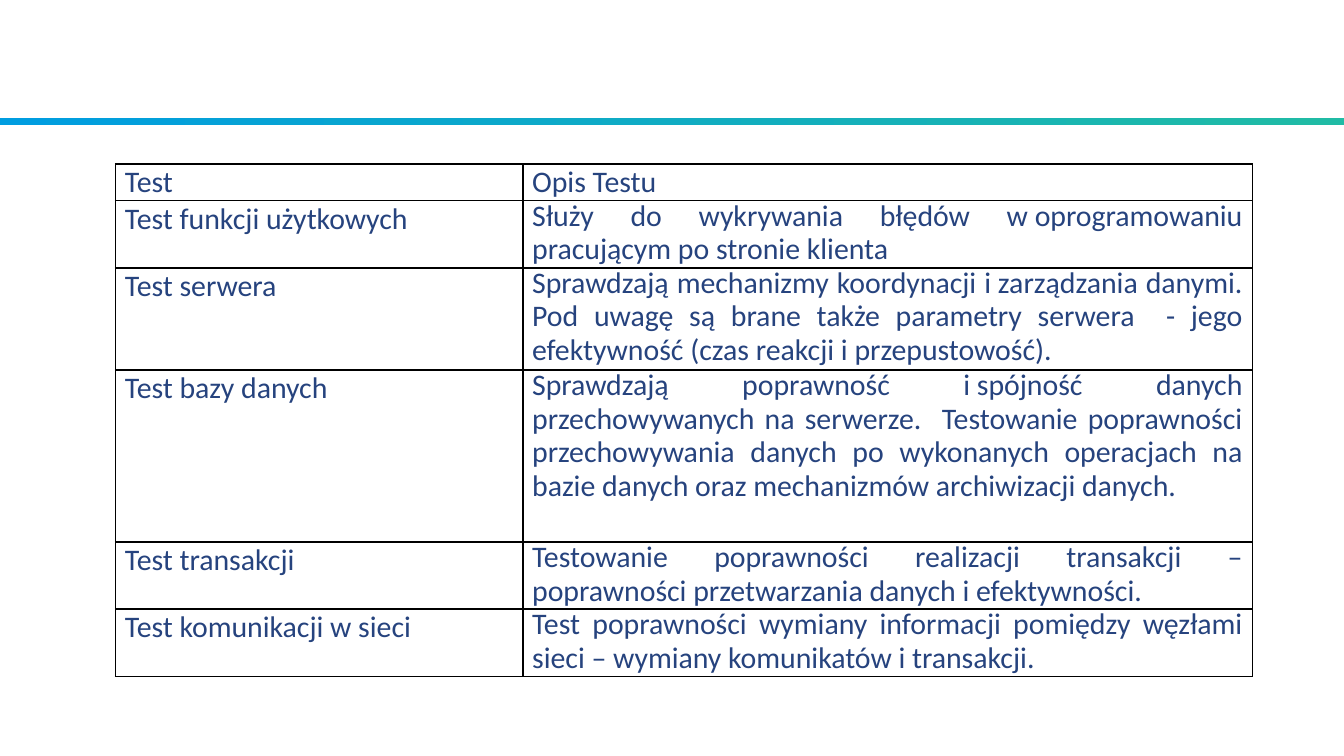
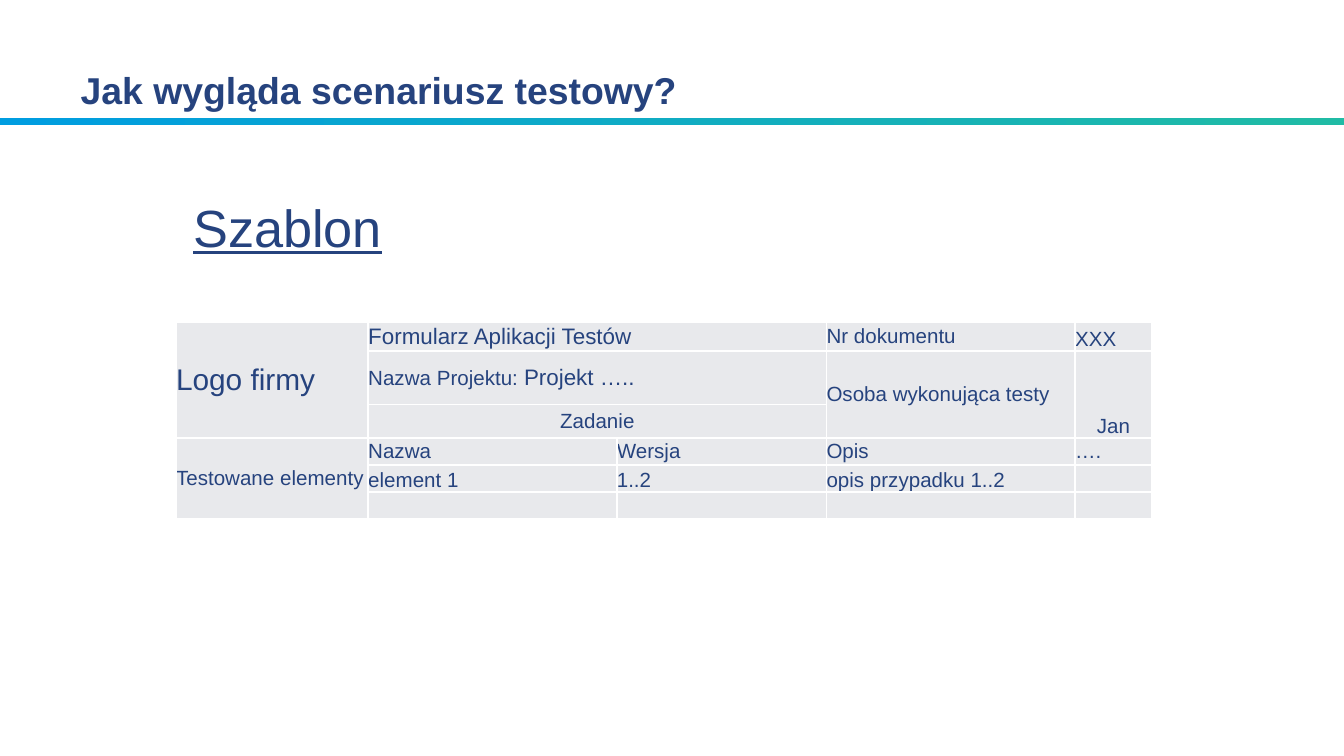
from dataclasses import dataclass

import lxml.etree
import pptx
import pptx.dml.color
import pptx.enum.shapes
import pptx.enum.text
import pptx.oxml.ns
import pptx.util

Inches = pptx.util.Inches
Pt = pptx.util.Pt
RGBColor = pptx.dml.color.RGBColor
Align = pptx.enum.text.PP_ALIGN
Anchor = pptx.enum.text.MSO_ANCHOR

NAVY = RGBColor(0x26, 0x43, 0x7E)
BLUE = RGBColor(0x00, 0x9D, 0xE0)
TEAL = RGBColor(0x20, 0xBB, 0xA5)
BLACK = RGBColor(0x00, 0x00, 0x00)
WHITE = RGBColor(0xFF, 0xFF, 0xFF)
GREY = RGBColor(0xE8, 0xE9, 0xEC)

TITLE_ONLY, BLANK = 5, 6
HARD_SPACE = chr(160)


@dataclass
class TableStyle:
    font: str
    border: RGBColor
    fill: RGBColor | None
    side_margin: float


@dataclass
class CellText:
    """A cell's runs of (text, size) with its alignment and merged extent."""
    row: int
    column: int
    runs: list[tuple[str, int]]
    align: Align = Align.LEFT
    anchor: Anchor = Anchor.MIDDLE
    rows: int = 1
    columns: int = 1
    spacing: int | None = None


TEST_STYLE = TableStyle("Calibri", BLACK, None, 0.07)
FORM_STYLE = TableStyle("Arial", WHITE, GREY, 0)

TESTS = [
    ("Test", "Opis Testu"),
    ("Test funkcji użytkowych",
     "Służy do wykrywania błędów w oprogramowaniu pracującym po stronie klienta"),
    ("Test serwera",
     "Sprawdzają mechanizmy koordynacji i zarządzania danymi. Pod uwagę są brane "
     "także parametry serwera  - jego efektywność (czas reakcji i przepustowość)."),
    ("Test bazy danych",
     "Sprawdzają poprawność i spójność danych przechowywanych na serwerze.  "
     "Testowanie poprawności przechowywania danych po wykonanych operacjach na "
     "bazie danych oraz mechanizmów archiwizacji danych."),
    ("Test transakcji",
     "Testowanie poprawności realizacji transakcji – poprawności przetwarzania "
     "danych i efektywności."),
    ("Test komunikacji w sieci",
     "Test poprawności wymiany informacji pomiędzy węzłami sieci – wymiany "
     "komunikatów i transakcji."),
]

FORM = [
    CellText(0, 0, [("Logo firmy", 16)], rows=3),
    CellText(0, 1, [("Formularz Aplikacji Testów", 12)], columns=2),
    CellText(0, 3, [("Nr dokumentu", 11)]),
    CellText(0, 4, [("XXX", 11)], anchor=Anchor.BOTTOM),
    CellText(1, 1, [("Nazwa Projektu: ", 11), ("Projekt …..", 12)], columns=2),
    CellText(1, 3, [("Osoba wykonująca testy", 11)], rows=2),
    CellText(1, 4, [("Jan", 11)], Align.CENTER, Anchor.BOTTOM, rows=2),
    CellText(2, 1, [("Zadanie", 11)], Align.CENTER, columns=2),
    CellText(3, 0, [("Testowane elementy", 11)], rows=3),
    *[CellText(3, column, [(text, 11)])
      for column, text in enumerate(["Nazwa", "Wersja", "Opis", "…."], 1)],
    *[CellText(4, column, [(text, 11)], anchor=Anchor.BOTTOM)
      for column, text in enumerate(["element 1", "1..2", "opis przypadku 1..2"], 1)],
]


def bind_short_words(text: str) -> str:
    """Keep one-letter words on the same line as the word that follows."""
    for word in ("i", "w"):
        text = text.replace(f" {word} ", f" {word}{HARD_SPACE}")
    return text


def set_font(font, name: str, size: int) -> None:
    font.name = name
    font.size = Pt(size)
    font.color.rgb = NAVY


def add_slide(presentation, layout: int):
    """Add a slide with the gradient band below the title area."""
    slide = presentation.slides.add_slide(presentation.slide_layouts[layout])
    band = slide.shapes.add_shape(
        pptx.enum.shapes.MSO_SHAPE.RECTANGLE,
        Inches(0), Inches(0.88), Inches(10), Inches(0.05))
    band.shadow.inherit = False
    band.line.fill.background()
    band.fill.gradient()
    band.fill.gradient_angle = 0
    for stop, color, position in zip(band.fill.gradient_stops, (BLUE, TEAL), (0, 1)):
        stop.color.rgb = color
        stop.position = position
    return slide


def set_title(slide, text: str) -> None:
    title = slide.shapes.title
    title.left, title.top = Inches(0.5), Inches(0.13)
    title.width, title.height = Inches(9), Inches(0.75)
    frame = title.text_frame
    frame.text = text
    frame.vertical_anchor = Anchor.BOTTOM
    paragraph = frame.paragraphs[0]
    paragraph.alignment = Align.LEFT
    set_font(paragraph.font, "Arial", 20)
    paragraph.font.bold = True


def style_cell(cell, style: TableStyle) -> None:
    """Give a cell its margins, borders, fill and small empty-line height."""
    cell.margin_left = cell.margin_right = Inches(style.side_margin)
    cell.margin_top = cell.margin_bottom = 0
    qn = pptx.oxml.ns.qn
    properties = cell._tc.get_or_add_tcPr()
    for side in ("a:lnL", "a:lnR", "a:lnT", "a:lnB"):
        line = lxml.etree.SubElement(properties, qn(side), w=str(Pt(1)))
        solid = lxml.etree.SubElement(line, qn("a:solidFill"))
        lxml.etree.SubElement(solid, qn("a:srgbClr"), val=str(style.border))
    if style.fill is None:
        cell.fill.background()
    else:
        cell.fill.solid()
        cell.fill.fore_color.rgb = style.fill
    paragraph = cell.text_frame.paragraphs[0]
    if not paragraph.runs:
        lxml.etree.SubElement(paragraph._p, qn("a:endParaRPr"), sz="1100")


def write_cell(table, item: CellText, style: TableStyle) -> None:
    cell = table.cell(item.row, item.column)
    if item.rows > 1 or item.columns > 1:
        cell.merge(table.cell(item.row + item.rows - 1, item.column + item.columns - 1))
    cell.vertical_anchor = item.anchor
    paragraph = cell.text_frame.paragraphs[0]
    paragraph.alignment = item.align
    if item.spacing:
        paragraph.line_spacing = Pt(item.spacing)
    for text, size in item.runs:
        run = paragraph.add_run()
        run.text = text
        if len(item.runs) > 1:
            set_font(run.font, style.font, size)
    if len(item.runs) == 1:
        set_font(paragraph.font, style.font, item.runs[0][1])


def add_table(slide, left: float, top: float, widths: list[float],
              heights: list[float], items: list[CellText], style: TableStyle) -> None:
    table = slide.shapes.add_table(
        len(heights), len(widths), Inches(left), Inches(top),
        Inches(sum(widths)), Inches(sum(heights))).table
    table.first_row = table.horz_banding = False
    for column, width in zip(table.columns, widths):
        column.width = Inches(width)
    for row, height in zip(table.rows, heights):
        row.height = Inches(height)
    for item in items:
        write_cell(table, item, style)
    for cell in table.iter_cells():
        style_cell(cell, style)


def build_tests_slide(presentation) -> None:
    slide = add_slide(presentation, BLANK)
    items = [
        CellText(row, column, [(bind_short_words(text), 16)], Align.JUSTIFY,
                 Anchor.TOP, spacing=18 if row and column else None)
        for row, texts in enumerate(TESTS)
        for column, text in enumerate(texts)
    ]
    add_table(slide, 0.86, 1.22, [3.03, 5.43],
              [0.27, 0.5, 0.76, 1.28, 0.5, 0.5], items, TEST_STYLE)


def build_form_slide(presentation) -> None:
    slide = add_slide(presentation, TITLE_ONLY)
    set_title(slide, "Jak wygląda scenariusz testowy?")
    add_table(slide, 1.31, 2.4, [1.43, 1.85, 1.56, 1.85, 0.57],
              [0.21, 0.4, 0.25, 0.2, 0.2, 0.2], FORM, FORM_STYLE)

    # Heading above the form
    heading = slide.shapes.add_textbox(
        Inches(1.34), Inches(1.4), Inches(2.16), Inches(0.51))
    heading.text_frame.word_wrap = True
    paragraph = heading.text_frame.paragraphs[0]
    paragraph.text = "Szablon"
    set_font(paragraph.font, "Arial", 28)
    paragraph.font.underline = True


def main() -> None:
    presentation = pptx.Presentation()
    # Widescreen, 16:9
    presentation.slide_width = Inches(10)
    presentation.slide_height = Inches(10 * 9 / 16)
    build_tests_slide(presentation)
    build_form_slide(presentation)
    presentation.save("out.pptx")


if __name__ == "__main__":
    main()
